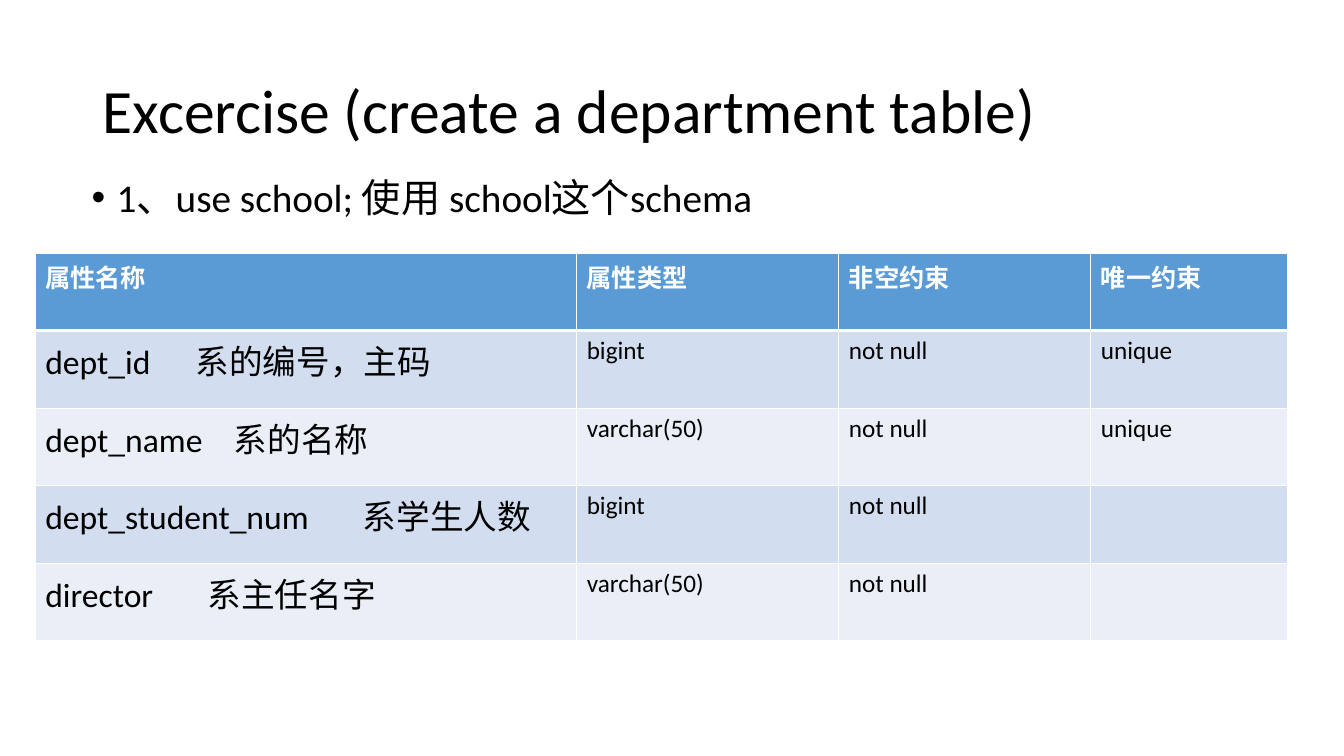
"""Build the department table exercise slide."""
from dataclasses import dataclass

import pptx
import pptx.dml.color
import pptx.enum.text
import pptx.oxml.ns
import pptx.oxml.xmlchemy
import pptx.util
from lxml import etree
from pptx.util import Inches


@dataclass(frozen=True)
class Theme:
    """Colours, font and type sizes of the slide."""
    font: str = "Calibri"
    ink: str = "000000"
    white: str = "FFFFFF"
    header: str = "5B9BD5"
    bands: tuple = ("D2DEEF", "EAEFF7")
    title: int = 44
    body: int = 28
    attribute: int = 24
    cell: int = 18


THEME = Theme()
COLUMN_WIDTHS = (5.37, 2.6, 2.5, 1.95)
ROW_HEIGHT = 0.77
HEADINGS = ("属性名称", "属性类型", "非空约束", "唯一约束")
ATTRIBUTES = (
    ("dept_id", "系的编号，主码", 1.49, "bigint", "not null", "unique"),
    ("dept_name", "系的名称", 1.87, "varchar(50)", "not null", "unique"),
    ("dept_student_num", "系学生人数", 3.15, "bigint", "not null", ""),
    ("director", "系主任名字", 1.61, "varchar(50)", "not null", ""),
)


def add_child(parent, tag, **attributes):
    """Append a DrawingML element to its parent."""
    return etree.SubElement(parent, pptx.oxml.ns.qn(f"a:{tag}"), **attributes)


def add_run(paragraph, text, size, color=THEME.ink, bold=False):
    """Add one run in the slide font."""
    run = paragraph.add_run()
    run.text = text
    run.font.name = THEME.font
    run.font.size = pptx.util.Pt(size)
    run.font.bold = bold
    run.font.color.rgb = pptx.dml.color.RGBColor.from_string(color)


def add_text(slide, bounds, text, size, anchor):
    """Add a wrapped one-paragraph text box and return its paragraph."""
    frame = slide.shapes.add_textbox(*map(Inches, bounds)).text_frame
    frame.word_wrap = True
    frame.vertical_anchor = anchor
    paragraph = frame.paragraphs[0]
    paragraph.line_spacing = 0.9
    add_run(paragraph, text, size)
    return paragraph


def add_bullet(paragraph):
    """Give a paragraph a hanging round bullet."""
    paragraph.space_before = pptx.util.Pt(10)
    properties = paragraph._p.get_or_add_pPr()
    properties.set("marL", str(Inches(0.25)))
    properties.set("indent", str(Inches(-0.25)))
    add_child(properties, "buFont", typeface="Arial")
    add_child(properties, "buChar", char="•")


def add_tab_stop(paragraph, position):
    """Set a left tab stop in inches."""
    stops = add_child(paragraph._p.get_or_add_pPr(), "tabLst")
    add_child(stops, "tab", pos=str(Inches(position)), algn="l")


def style_cell(cell, fill, top=1, bottom=1):
    """Fill a cell and draw its white borders, widths in points."""
    properties = cell._tc.get_or_add_tcPr()
    for side, width in (("L", 1), ("R", 1), ("T", top), ("B", bottom)):
        line = add_child(properties, f"ln{side}", w=str(pptx.util.Pt(width)))
        add_child(add_child(line, "solidFill"), "srgbClr", val=THEME.white)
    cell.fill.solid()
    cell.fill.fore_color.rgb = pptx.dml.color.RGBColor.from_string(fill)


def add_attribute_row(table, row, attribute):
    """Write one attribute with its meaning, type and constraints."""
    name, meaning, tab_position, *details = attribute
    for column in range(len(HEADINGS)):
        style_cell(table.cell(row, column), THEME.bands[(row - 1) % 2],
                   top=3 if row == 1 else 1)
    label = table.cell(row, 0).text_frame.paragraphs[0]
    add_tab_stop(label, tab_position)
    add_run(label, f"{name}\t{meaning}", THEME.attribute)
    for column, detail in enumerate(details, start=1):
        if detail:
            paragraph = table.cell(row, column).text_frame.paragraphs[0]
            add_run(paragraph, detail, THEME.cell)


def add_department_table(slide):
    """Add the table of department attributes."""
    rows = len(ATTRIBUTES) + 1
    table = slide.shapes.add_table(
        rows, len(HEADINGS), Inches(0.35), Inches(2.51),
        Inches(sum(COLUMN_WIDTHS)), Inches(rows * ROW_HEIGHT)).table
    for column, width in zip(table.columns, COLUMN_WIDTHS):
        column.width = Inches(width)
    for row in table.rows:
        row.height = Inches(ROW_HEIGHT)
    for column, heading in enumerate(HEADINGS):
        cell = table.cell(0, column)
        style_cell(cell, THEME.header, bottom=3)
        add_run(cell.text_frame.paragraphs[0], heading, THEME.cell, THEME.white, True)
    for row, attribute in enumerate(ATTRIBUTES, start=1):
        add_attribute_row(table, row, attribute)


def main():
    """Build and save the slide."""
    presentation = pptx.Presentation()
    presentation.slide_width = Inches(13.33)
    presentation.slide_height = Inches(7.5)
    slide = presentation.slides.add_slide(presentation.slide_layouts[6])
    anchors = pptx.enum.text.MSO_ANCHOR
    add_text(slide, (0.92, 0.4, 11.5, 1.45), "Excercise (create a department table)",
             THEME.title, anchors.MIDDLE)
    step = add_text(slide, (0.81, 1.72, 11.5, 4.76),
                    "1、use school; 使用 school这个schema", THEME.body, anchors.TOP)
    add_bullet(step)
    add_department_table(slide)
    presentation.save("out.pptx")


if __name__ == "__main__":
    main()
